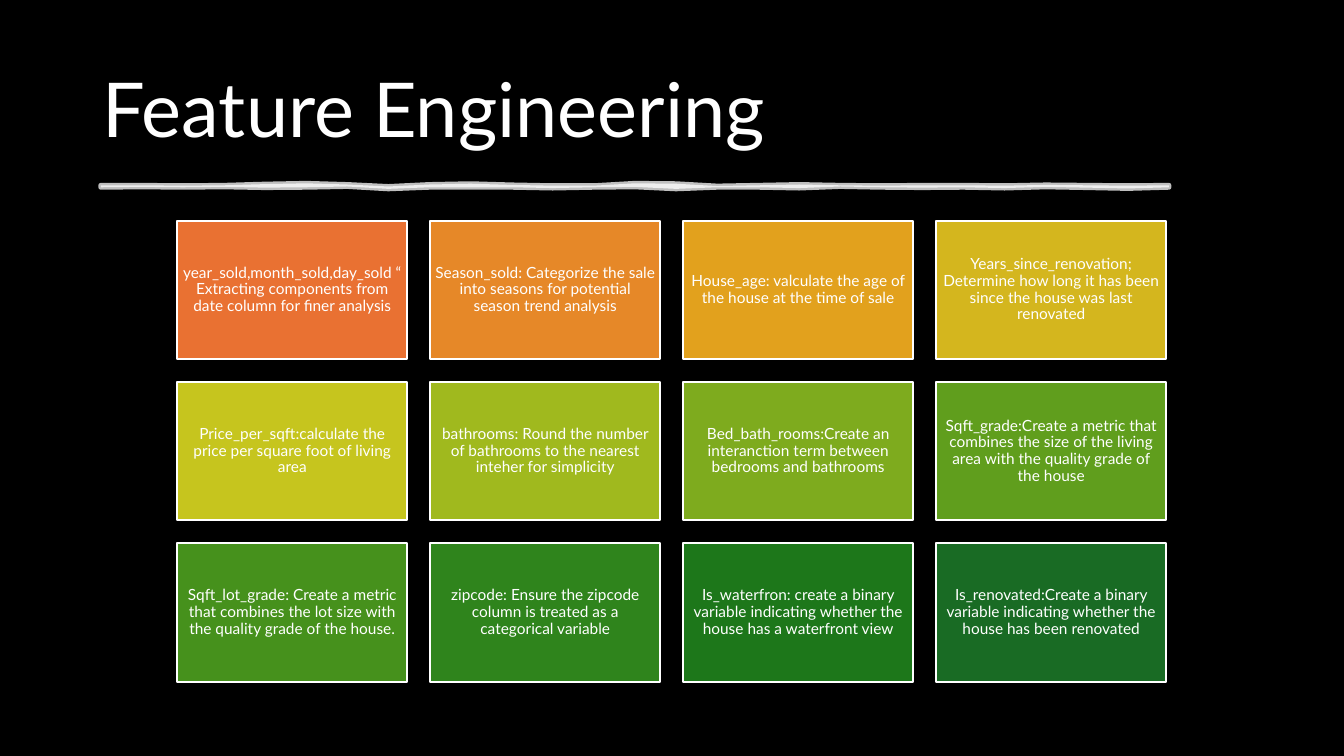
from lxml import etree
from pptx import Presentation
from pptx.dml.color import RGBColor
from pptx.enum import shapes, text
from pptx.oxml import ns
from pptx.util import Cm, Pt

BLACK = RGBColor(0x00, 0x00, 0x00)
WHITE = RGBColor(0xFF, 0xFF, 0xFF)
FONT = "Lato"
COLUMNS = 4
ROWS = 3
GAP = 0.58

FEATURES = [
    ("year_sold,month_sold,day_sold “ Extracting components from date column for finer analysis",
     RGBColor(0xE9, 0x71, 0x32)),
    ("Season_sold: Categorize the sale into seasons for potential season trend analysis",
     RGBColor(0xE6, 0x88, 0x28)),
    ("House_age: valculate the age of the house at the time of sale",
     RGBColor(0xE2, 0xA1, 0x1D)),
    ("Years_since_renovation; Determine how long it has been since the house was last renovated",
     RGBColor(0xD4, 0xB6, 0x1E)),
    ("Price_per_sqft:calculate the price per square foot of living area",
     RGBColor(0xC6, 0xC5, 0x1E)),
    ("bathrooms: Round the number of bathrooms to the nearest inteher for simplicity",
     RGBColor(0xA0, 0xB9, 0x1E)),
    ("Bed_bath_rooms:Create an interanction term between bedrooms and bathrooms",
     RGBColor(0x7E, 0xAB, 0x1E)),
    ("Sqft_grade:Create a metric that combines the size of the living area with the quality grade of the house",
     RGBColor(0x60, 0x9E, 0x1D)),
    ("Sqft_lot_grade: Create a metric that combines the lot size with the quality grade of the house.",
     RGBColor(0x46, 0x91, 0x1C)),
    ("zipcode: Ensure the zipcode column is treated as a categorical variable",
     RGBColor(0x2F, 0x84, 0x1C)),
    ("Is_waterfron: create a binary variable indicating whether the house has a waterfront view",
     RGBColor(0x1D, 0x77, 0x1A)),
    ("Is_renovated:Create a binary variable indicating whether the house has been renovated",
     RGBColor(0x19, 0x6B, 0x24)),
]

BRUSH_TOP = [0, 0, 0.01, 0, -0.03, -0.05, -0.02, 0.03, -0.02, -0.04, -0.01, 0.01, 0.01,
             -0.05, -0.04, 0.02, 0, -0.02, 0, 0.01, 0, 0, 0.01, -0.01, 0, 0.01, 0]
BRUSH_BOTTOM = [0.05, 0.04, 0.05, 0.04, 0.06, 0.05, 0.03, 0.09, 0.05, 0.05, 0.05, 0.07, 0.05,
                0.04, 0.09, 0.05, 0.05, 0.07, 0.03, 0.05, 0.06, 0.05, 0.07, 0.04, 0.06, 0.08, 0.05]


def style_text(frame, size, align):
    frame.word_wrap = True
    frame.vertical_anchor = text.MSO_ANCHOR.MIDDLE
    paragraph = frame.paragraphs[0]
    paragraph.alignment = align
    paragraph.line_spacing = 0.9
    font = paragraph.runs[0].font
    font.name = FONT
    font.size = Pt(size)
    font.color.rgb = WHITE


def add_backdrop(slide, width, height):
    backdrop = slide.shapes.add_shape(shapes.MSO_SHAPE.RECTANGLE, 0, 0, width, height)
    backdrop.shadow.inherit = False
    backdrop.fill.solid()
    backdrop.fill.fore_color.rgb = BLACK
    backdrop.line.fill.background()
    slide.shapes.title.element.addprevious(backdrop.element)


def add_heading(slide, left, top, width, height):
    heading = slide.shapes.title
    heading.left, heading.top = Cm(left), Cm(top)
    heading.width, heading.height = Cm(width), Cm(height)
    heading.text_frame.text = "Feature Engineering"
    heading.text_frame.auto_size = text.MSO_AUTO_SIZE.NONE
    style_text(heading.text_frame, 54, text.PP_ALIGN.LEFT)


def add_brush_rule(slide, left, top, width):
    step = width / (len(BRUSH_TOP) - 1)
    upper = [(Cm(left + i * step), Cm(top + y)) for i, y in enumerate(BRUSH_TOP)]
    lower = [(Cm(left + i * step), Cm(top + y)) for i, y in enumerate(BRUSH_BOTTOM)]
    builder = slide.shapes.build_freeform(*upper[0])
    builder.add_line_segments(upper[1:] + lower[::-1], close=True)
    brush = builder.convert_to_shape()
    brush.shadow.inherit = False
    brush.fill.solid()
    brush.fill.fore_color.rgb = WHITE
    brush.line.color.rgb = WHITE
    brush.line.width = Pt(3.5)
    for color in brush.element.spPr.iter(ns.qn("a:srgbClr")):
        etree.SubElement(color, ns.qn("a:alpha"), val="75000")


def add_feature_card(slide, left, top, width, height, wording, color):
    card = slide.shapes.add_shape(
        shapes.MSO_SHAPE.RECTANGLE, Cm(left), Cm(top), Cm(width), Cm(height))
    card.shadow.inherit = False
    card.fill.solid()
    card.fill.fore_color.rgb = color
    card.line.color.rgb = WHITE
    card.line.width = Pt(1.5)
    frame = card.text_frame
    frame.text = wording
    frame.margin_left = frame.margin_right = Cm(0.12)
    frame.margin_top = frame.margin_bottom = Cm(0.12)
    style_text(frame, 11, text.PP_ALIGN.CENTER)


def add_feature_grid(slide, left, top, width, height):
    card_width = (width - GAP * (COLUMNS - 1)) / COLUMNS
    card_height = (height - GAP * (ROWS - 1)) / ROWS
    for index, (wording, color) in enumerate(FEATURES):
        row, column = divmod(index, COLUMNS)
        add_feature_card(
            slide, left + column * (card_width + GAP), top + row * (card_height + GAP),
            card_width, card_height, wording, color)


def main():
    deck = Presentation()
    deck.slide_width, deck.slide_height = Cm(33.87), Cm(19.05)
    slide = deck.slides.add_slide(deck.slide_layouts[5])
    add_backdrop(slide, deck.slide_width, deck.slide_height)
    add_heading(slide, 2.33, 1.01, 29.21, 3.68)
    add_brush_rule(slide, 2.54, 4.67, 26.92)
    add_feature_grid(slide, 4.47, 5.56, 24.92, 11.62)
    deck.save("out.pptx")


if __name__ == "__main__":
    main()
